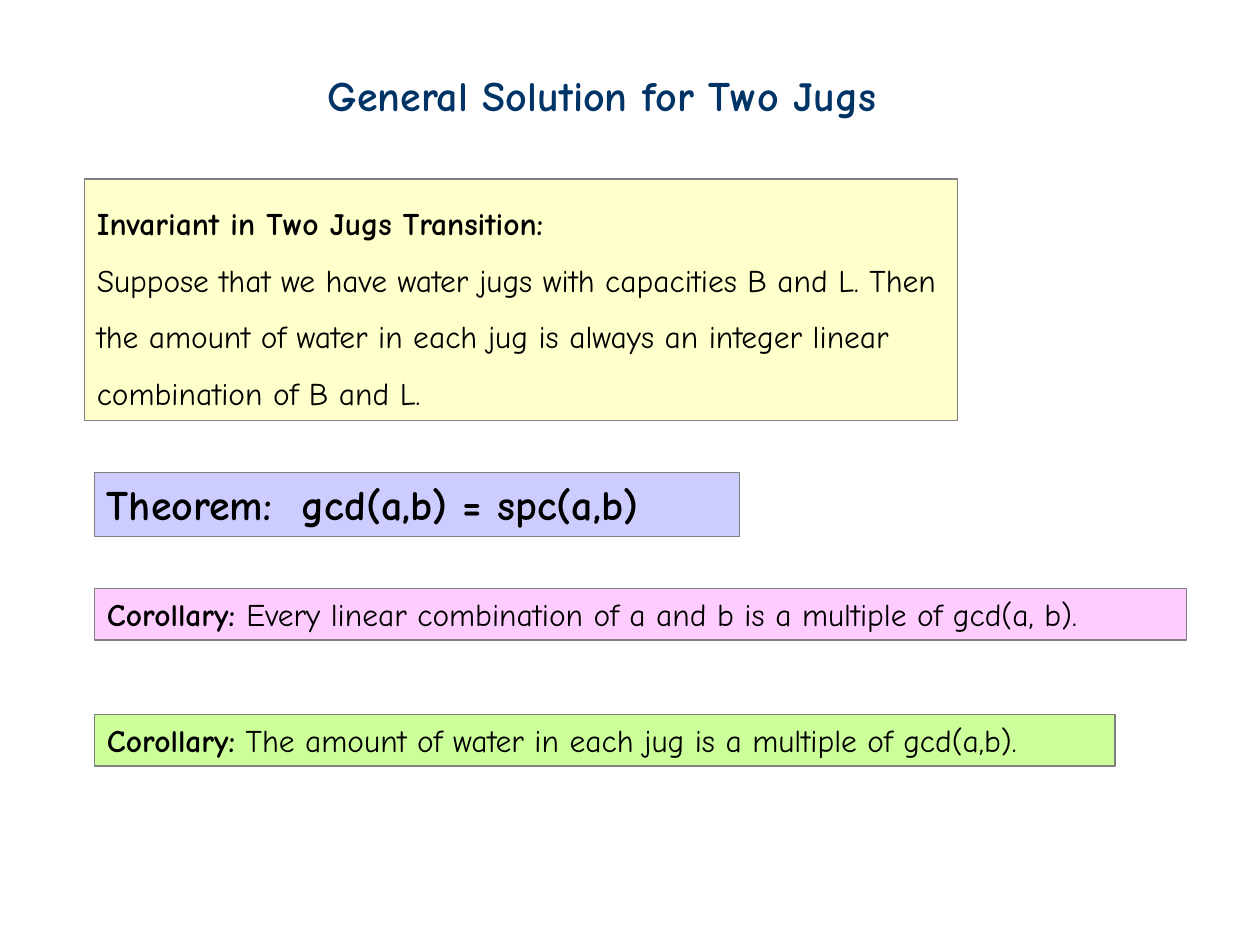
"""Build the slide on the general solution for the water jug puzzle."""
from pptx import Presentation
from pptx.dml.color import RGBColor
from pptx.enum.shapes import MSO_SHAPE
from pptx.enum.text import MSO_ANCHOR, PP_ALIGN
from pptx.util import Inches, Pt

FONT = "Comic Neue"
BLACK = RGBColor(0, 0, 0)
NAVY = RGBColor(0, 0x33, 0x66)
GRAY = RGBColor(0x80, 0x80, 0x80)
CREAM = RGBColor(0xFF, 0xFF, 0xCC)
LILAC = RGBColor(0xCC, 0xCC, 0xFF)
PINK = RGBColor(0xFF, 0xCC, 0xFF)
LIME = RGBColor(0xCC, 0xFF, 0x99)

TITLE = "General Solution for Two Jugs"
INVARIANT = [
    [("Invariant in Two Jugs Transition:", True)],
    [("Suppose that we have water jugs with capacities B and L. Then "
      "the amount of water in each jug is always an integer linear "
      "combination of B and L.", False)],
]
THEOREM = [[("Theorem:  gcd(a,b) = spc(a,b)", True)]]
MULTIPLE = [[("Corollary: ", True),
             ("Every linear combination of a and b is a multiple of gcd(a, b).", False)]]
WATER = [[("Corollary:", True),
          (" The amount of water in each jug is a multiple of gcd(a,b).", False)]]

PANELS = [
    ((0.67, 1.42, 6.93, 1.92), CREAM, 18, 1.5, INVARIANT),
    ((0.75, 3.75, 5.12, 0.51), LILAC, 24, 1, THEOREM),
    ((0.75, 4.67, 8.67, 0.41), PINK, 18, 1, MULTIPLE),
    ((0.75, 5.67, 8.1, 0.41), LIME, 18, 1, WATER),
]


def write(shape, lines, size, color, spacing=1):
    frame = shape.text_frame
    frame.word_wrap = True
    frame.vertical_anchor = MSO_ANCHOR.TOP
    for i, parts in enumerate(lines):
        para = frame.add_paragraph() if i else frame.paragraphs[0]
        para.alignment = PP_ALIGN.LEFT
        para.line_spacing = spacing
        para.font.name = FONT
        para.font.size = Pt(size)
        para.font.color.rgb = color
        for text, bold in parts:
            run = para.add_run()
            run.text = text
            run.font.bold = bold


deck = Presentation()
deck.slide_width, deck.slide_height = Inches(10), Inches(7.5)
slide = deck.slides.add_slide(deck.slide_layouts[6])

title = slide.shapes.add_textbox(Inches(2.5), Inches(0.5), Inches(5.09), Inches(0.5))
write(title, [[(TITLE, True)]], 24, NAVY)

for place, fill, size, spacing, lines in PANELS:
    panel = slide.shapes.add_shape(MSO_SHAPE.RECTANGLE, *map(Inches, place))
    panel.shadow.inherit = False
    panel.fill.solid()
    panel.fill.fore_color.rgb = fill
    panel.line.color.rgb = GRAY
    panel.line.width = Pt(0.75)
    write(panel, lines, size, BLACK, spacing)

deck.save("out.pptx")
